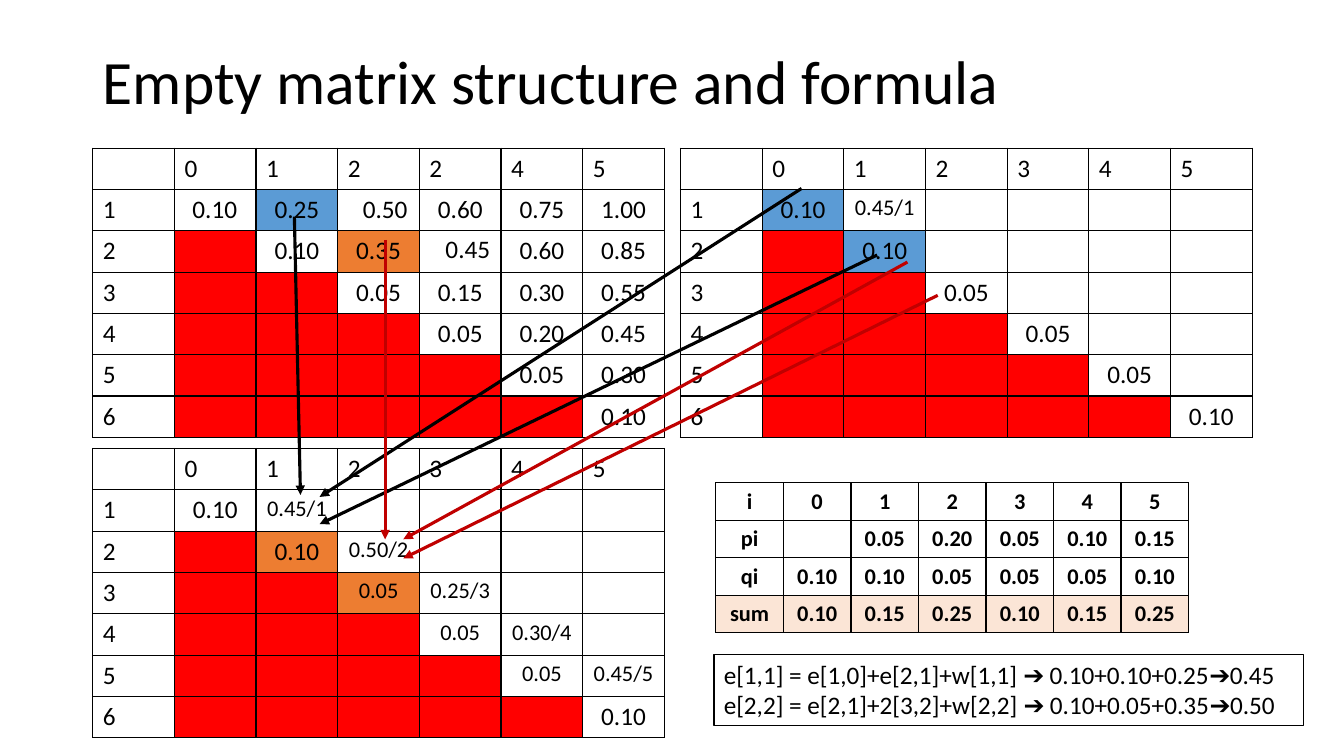
from dataclasses import dataclass

import lxml.etree
import pptx
import pptx.dml.color
import pptx.enum.shapes
import pptx.enum.text
import pptx.oxml.ns
import pptx.slide
import pptx.util
from pptx.util import Inches

Align = pptx.enum.text.PP_ALIGN
Cell = tuple[int, int]


@dataclass(frozen=True)
class Theme:
    """Colours, font and type sizes of the slide."""
    font: str = "Calibri"
    ink: str = "000000"
    paper: str = "FFFFFF"
    unused: str = "FF0000"
    blue: str = "5B9BD5"
    orange: str = "ED7D31"
    total: str = "FBE5D6"
    crimson: str = "C00000"
    title: int = 44
    body: int = 18
    small: int = 16
    border: float = 1
    arrow: float = 2.25


THEME = Theme()


@dataclass(frozen=True)
class Grid:
    """A table; '.' stands for an empty cell in its rows."""
    left: float
    top: float
    column: float
    row: float
    rows: tuple[str, ...]
    fills: dict[Cell, str]
    triangular: bool = True
    small_values: tuple[str, ...] = ()

    def fill(self, row: int, column: int) -> str:
        """Return the colour of a cell, red below the diagonal."""
        if self.triangular and 1 <= column < row:
            return THEME.unused
        return self.fills.get((row, column), THEME.paper)

    def size(self, text: str) -> int:
        """Return the type size of a cell text."""
        small = not self.triangular or "/" in text or text in self.small_values
        return THEME.small if small else THEME.body

    def centred(self, row: int, column: int) -> bool:
        """Tell whether a cell is centred; matrix headings are not."""
        return not self.triangular or (row > 0 and column > 0)


@dataclass(frozen=True)
class Label:
    """A free text with one paragraph per line."""
    left: float
    top: float
    width: float
    height: float
    lines: tuple[str, ...]
    boxed: bool = False


@dataclass(frozen=True)
class Arrow:
    """A straight arrow from a source value to its result."""
    start: tuple[float, float]
    end: tuple[float, float]
    color: str


def rgb(color: str) -> pptx.dml.color.RGBColor:
    """Turn a hex string into a colour."""
    return pptx.dml.color.RGBColor.from_string(color)


def add_xml(parent, tag: str, **attributes: str):
    """Append a DrawingML element and return it."""
    return lxml.etree.SubElement(parent, pptx.oxml.ns.qn(f"a:{tag}"), attributes)


def add_run(paragraph, text: str, size: int, bold: bool = False) -> None:
    """Add one formatted run to a paragraph."""
    run = paragraph.add_run()
    run.text = text
    run.font.name = THEME.font
    run.font.size = pptx.util.Pt(size)
    run.font.bold = bold
    run.font.color.rgb = rgb(THEME.ink)


def add_borders(cell) -> None:
    """Draw thin lines on all four sides of a cell."""
    properties = cell._tc.get_or_add_tcPr()
    for side in ("lnL", "lnR", "lnT", "lnB"):
        width = str(pptx.util.Pt(THEME.border))
        fill = add_xml(add_xml(properties, side, w=width), "solidFill")
        add_xml(fill, "srgbClr", val=THEME.ink)


def add_grid(slide: pptx.slide.Slide, grid: Grid) -> None:
    """Draw a table with its texts and fills."""
    rows = [line.split() for line in grid.rows]
    count = len(rows[0])
    table = slide.shapes.add_table(
        len(rows), count, Inches(grid.left), Inches(grid.top),
        Inches(grid.column * count), Inches(grid.row * len(rows))).table
    table.first_row = table.horz_banding = False
    for column in table.columns:
        column.width = Inches(grid.column)
    for r, texts in enumerate(rows):
        table.rows[r].height = Inches(grid.row)
        for c, text in enumerate(texts):
            cell = table.cell(r, c)
            add_borders(cell)
            cell.fill.solid()
            cell.fill.fore_color.rgb = rgb(grid.fill(r, c))
            paragraph = cell.text_frame.paragraphs[0]
            paragraph.alignment = Align.CENTER if grid.centred(r, c) else Align.LEFT
            size = grid.size(text)
            if text == ".":
                add_xml(paragraph._p, "endParaRPr", sz=str(size * 100))
            else:
                add_run(paragraph, text, size, bold=not grid.triangular)


def add_label(slide: pptx.slide.Slide, label: Label) -> None:
    """Draw a text box, framed when it is boxed."""
    box = slide.shapes.add_textbox(Inches(label.left), Inches(label.top),
                                   Inches(label.width), Inches(label.height))
    if label.boxed:
        box.fill.solid()
        box.fill.fore_color.rgb = rgb(THEME.paper)
        box.line.color.rgb = rgb(THEME.ink)
        box.line.width = pptx.util.Pt(THEME.border)
    frame = box.text_frame
    frame.word_wrap = False
    frame.auto_size = pptx.enum.text.MSO_AUTO_SIZE.SHAPE_TO_FIT_TEXT
    for index, line in enumerate(label.lines):
        paragraph = frame.add_paragraph() if index else frame.paragraphs[0]
        add_run(paragraph, line, THEME.body)


def add_arrow(slide: pptx.slide.Slide, arrow: Arrow) -> None:
    """Draw an arrow with a triangular head at its end."""
    line = slide.shapes.add_connector(
        pptx.enum.shapes.MSO_CONNECTOR.STRAIGHT,
        *(Inches(value) for value in arrow.start + arrow.end))
    line.line.color.rgb = rgb(arrow.color)
    line.line.width = pptx.util.Pt(THEME.arrow)
    add_xml(line.line._get_or_add_ln(), "tailEnd", type="triangle")
    add_xml(line._element.spPr, "effectLst")


def add_title(slide: pptx.slide.Slide, text: str) -> None:
    """Place and format the title."""
    title = slide.shapes.title
    title.left, title.top = Inches(0.92), Inches(0.4)
    title.width, title.height = Inches(11.5), Inches(0.87)
    title.text_frame.vertical_anchor = pptx.enum.text.MSO_ANCHOR.MIDDLE
    title.text_frame.auto_size = pptx.enum.text.MSO_AUTO_SIZE.NONE
    paragraph = title.text_frame.paragraphs[0]
    paragraph.alignment = Align.LEFT
    paragraph.line_spacing = 0.9
    add_run(paragraph, text, THEME.title)


LEFT, RIGHT, TOP, BOTTOM, SIDE, ROW = 0.92, 6.75, 1.47, 4.45, 0.81, 0.41
weights = Grid(LEFT, TOP, SIDE, ROW, (
    ". 0 1 2 2 4 5", "1 . 0.25 . 0.60 0.75 1.00", "2 . 0.10 0.35 . 0.60 0.85",
    "3 . . 0.05 0.15 0.30 0.55", "4 . . . 0.05 0.20 0.45",
    "5 . . . . 0.05 0.30", "6 . . . . . 0.10"),
    {(1, 2): THEME.blue, (2, 3): THEME.orange})
first_costs = Grid(RIGHT, TOP, SIDE, ROW, (
    ". 0 1 2 3 4 5", "1 0.10 0.45/1 . . . .", "2 . 0.10 . . . .",
    "3 . . 0.05 . . .", "4 . . . 0.05 . .", "5 . . . . 0.05 .",
    "6 . . . . . 0.10"),
    {(1, 1): THEME.blue, (2, 2): THEME.blue})
probabilities = Grid(7.1, 4.79, 0.67, 0.37, (
    "i 0 1 2 3 4 5", "pi . 0.05 0.20 0.05 0.10 0.15",
    "qi 0.10 0.10 0.05 0.05 0.05 0.10", "sum 0.10 0.15 0.25 0.10 0.15 0.25"),
    {(3, column): THEME.total for column in range(7)}, triangular=False)
second_costs = Grid(LEFT, BOTTOM, SIDE, ROW, (
    ". 0 1 2 3 4 5", "1 0.10 0.45/1 . . . .", "2 . 0.10 0.50/2 . . .",
    "3 . . 0.05 0.25/3 . .", "4 . . . 0.05 0.30/4 .",
    "5 . . . . 0.05 0.45/5", "6 . . . . . 0.10"),
    {(2, 2): THEME.orange, (3, 3): THEME.orange}, small_values=("0.05",))
loose_weights = [Label(left, top, 0.65, 0.4, (text,)) for left, top, text in (
    (1.81, 1.87, "0.10"), (3.5, 1.87, "0.50"), (4.32, 2.27, "0.45"))]
formulas = Label(7.08, 6.49, 5.85, 0.71, (
    "e[1,1] = e[1,0]+e[2,1]+w[1,1] ➔ 0.10+0.10+0.25➔0.45",
    "e[2,2] = e[2,1]+2[3,2]+w[2,2] ➔ 0.10+0.05+0.35➔0.50"), boxed=True)
dependencies = (
    Arrow((7.95, 1.87), (3.17, 4.93), THEME.ink),
    Arrow((8.7, 2.53), (3.17, 5.2), THEME.ink),
    Arrow((2.92, 2.15), (2.98, 4.91), THEME.ink),
    Arrow((9, 2.6), (4, 5.35), THEME.crimson),
    Arrow((9.3, 2.93), (4, 5.54), THEME.crimson),
    Arrow((3.82, 2.38), (3.82, 5.35), THEME.crimson))

deck = pptx.Presentation()
deck.slide_width, deck.slide_height = Inches(13.33), Inches(7.5)
matrix_slide = deck.slides.add_slide(deck.slide_layouts[5])
add_title(matrix_slide, "Empty matrix structure and formula")
for grid in (weights, first_costs, probabilities, second_costs):
    add_grid(matrix_slide, grid)
for label in (*loose_weights, formulas):
    add_label(matrix_slide, label)
for arrow in dependencies:
    add_arrow(matrix_slide, arrow)
deck.save("out.pptx")
